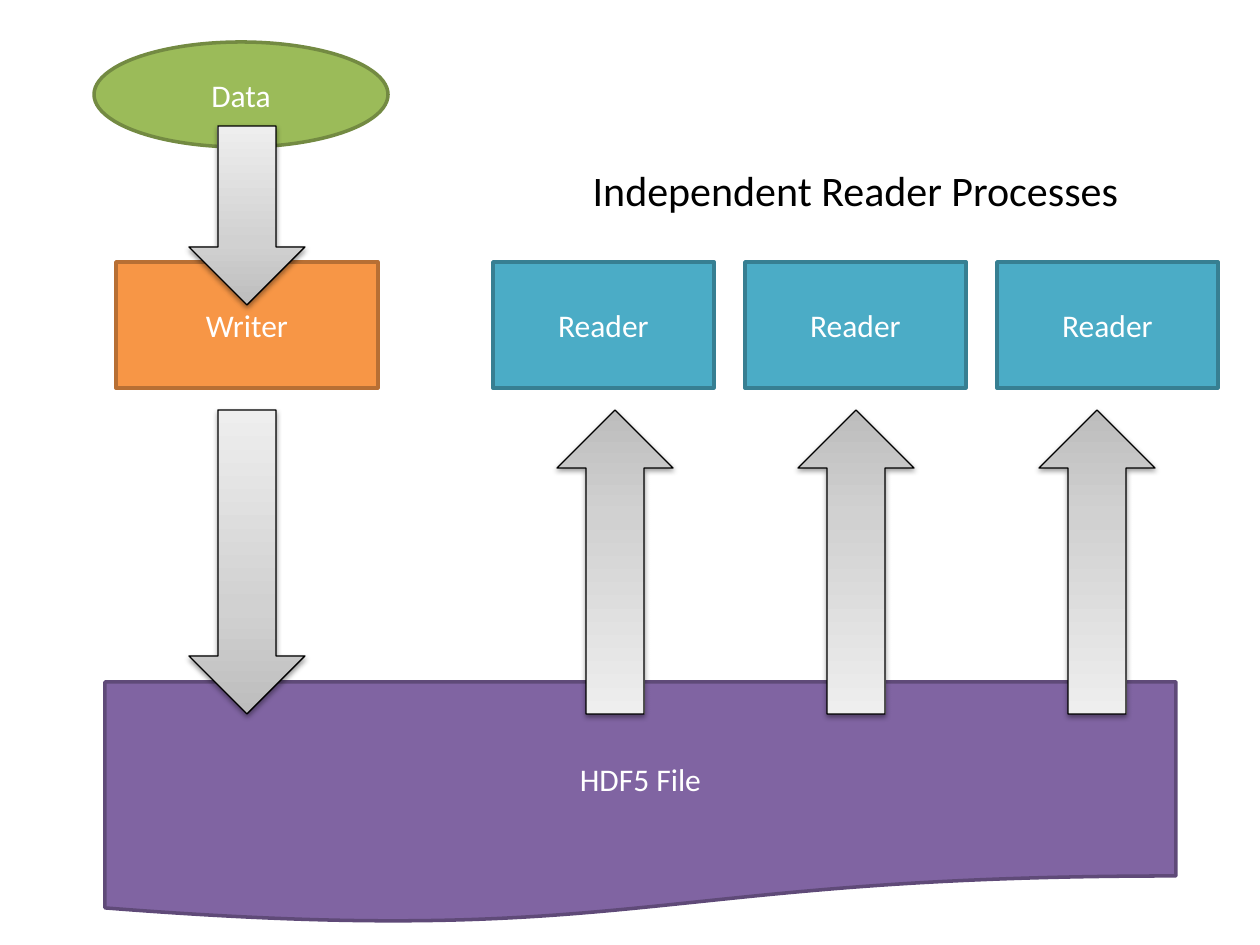
from copy import deepcopy
from dataclasses import dataclass

from pptx import Presentation
from pptx.dml.color import RGBColor as RGB
from pptx.enum.shapes import MSO_SHAPE as Kind
from pptx.enum.text import MSO_ANCHOR as Anchor, MSO_AUTO_SIZE as Fit, PP_ALIGN as Align
from pptx.oxml import parse_xml
from pptx.oxml.ns import nsdecls, qn
from pptx.shapes.autoshape import Shape
from pptx.slide import Slide
from pptx.text.text import TextFrame
from pptx.util import Emu, Pt

SCALE = 914400 / 126


@dataclass(frozen=True)
class Theme:
    font: str = "Calibri"
    head: int = 24
    label: int = 18
    edge: float = 2
    thin: float = 0.75
    dark: str = "000000"
    light: str = "FFFFFF"
    green: tuple[str, str] = ("9BBB59", "738A42")
    orange: tuple[str, str] = ("F79646", "B76F34")
    teal: tuple[str, str] = ("4BACC6", "377F92")
    purple: tuple[str, str] = ("8064A2", "5F4A78")
    fade: tuple[tuple[float, str], ...] = ((0, "BDBDBD"), (0.35, "D1D1D1"), (1, "EEEEEE"))


THEME = Theme()


@dataclass(frozen=True)
class Box:
    x: int
    y: int
    w: int
    h: int


@dataclass(frozen=True)
class Node:
    text: str
    kind: Kind
    box: Box
    tone: tuple[str, str]


@dataclass(frozen=True)
class Arrow:
    box: Box
    turn: int = 0


def px(n: int) -> Emu:
    return Emu(round(n * SCALE))


def place(box: Box) -> tuple[Emu, ...]:
    return px(box.x), px(box.y), px(box.w), px(box.h)


def write(frame: TextFrame, text: str, size: int, tone: str, anchor: Anchor) -> None:
    frame.word_wrap = True
    frame.auto_size = Fit.NONE
    frame.vertical_anchor = anchor
    para = frame.paragraphs[0]
    para.alignment = Align.CENTER
    run = para.add_run()
    run.text = text
    run.font.name = THEME.font
    run.font.size = Pt(size)
    run.font.color.rgb = RGB.from_string(tone)


def add_shape(slide: Slide, kind: Kind, box: Box, edge: str, width: float) -> Shape:
    shape = slide.shapes.add_shape(kind, *place(box))
    shape.shadow.inherit = False
    shape.line.color.rgb = RGB.from_string(edge)
    shape.line.width = Pt(width)
    return shape


def add_node(slide: Slide, node: Node) -> None:
    fill, edge = node.tone
    shape = add_shape(slide, node.kind, node.box, edge, THEME.edge)
    shape.fill.solid()
    shape.fill.fore_color.rgb = RGB.from_string(fill)
    write(shape.text_frame, node.text, THEME.label, THEME.light, Anchor.MIDDLE)


def add_arrow(slide: Slide, arrow: Arrow) -> None:
    shape = add_shape(slide, Kind.DOWN_ARROW, arrow.box, THEME.dark, THEME.thin)
    shape.rotation = arrow.turn
    shape.fill.gradient()
    shape.fill.gradient_angle = 90
    props = shape._element.spPr
    stops = props.find(qn("a:gradFill")).find(qn("a:gsLst"))
    stops.insert(1, deepcopy(stops[0]))
    for stop, (spot, tone) in zip(shape.fill.gradient_stops, THEME.fade):
        stop.position = spot
        stop.color.rgb = RGB.from_string(tone)
    props.find(qn("a:effectLst")).append(parse_xml(
        f'<a:outerShdw {nsdecls("a")} blurRad="40000" dist="20000" dir="5400000" '
        f'rotWithShape="0"><a:srgbClr val="{THEME.dark}"><a:alpha val="38000"/>'
        '</a:srgbClr></a:outerShdw>'))


def add_title(slide: Slide, text: str, box: Box) -> None:
    title = slide.shapes.title
    title.left, title.top, title.width, title.height = place(box)
    write(title.text_frame, text, THEME.head, THEME.dark, Anchor.TOP)


def main() -> None:
    deck = Presentation()
    deck.slide_width, deck.slide_height = px(1260), px(945)
    slide = deck.slides.add_slide(deck.slide_layouts[5])
    add_title(slide, "Independent Reader Processes", Box(504, 158, 703, 84))

    add_node(slide, Node("HDF5 File", Kind.FLOWCHART_DOCUMENT,
                         Box(105, 682, 1071, 242), THEME.purple))
    add_node(slide, Node("Writer", Kind.RECTANGLE, Box(116, 262, 262, 126), THEME.orange))
    for i in range(3):
        add_node(slide, Node("Reader", Kind.RECTANGLE,
                             Box(493 + 252 * i, 262, 221, 126), THEME.teal))

    add_arrow(slide, Arrow(Box(189, 410, 116, 304)))
    for i in range(3):
        add_arrow(slide, Arrow(Box(557 + 241 * i, 410, 116, 304), 180))

    add_node(slide, Node("Data", Kind.OVAL, Box(94, 42, 294, 105), THEME.green))
    add_arrow(slide, Arrow(Box(189, 126, 116, 179)))
    deck.save("out.pptx")


if __name__ == "__main__":
    main()
